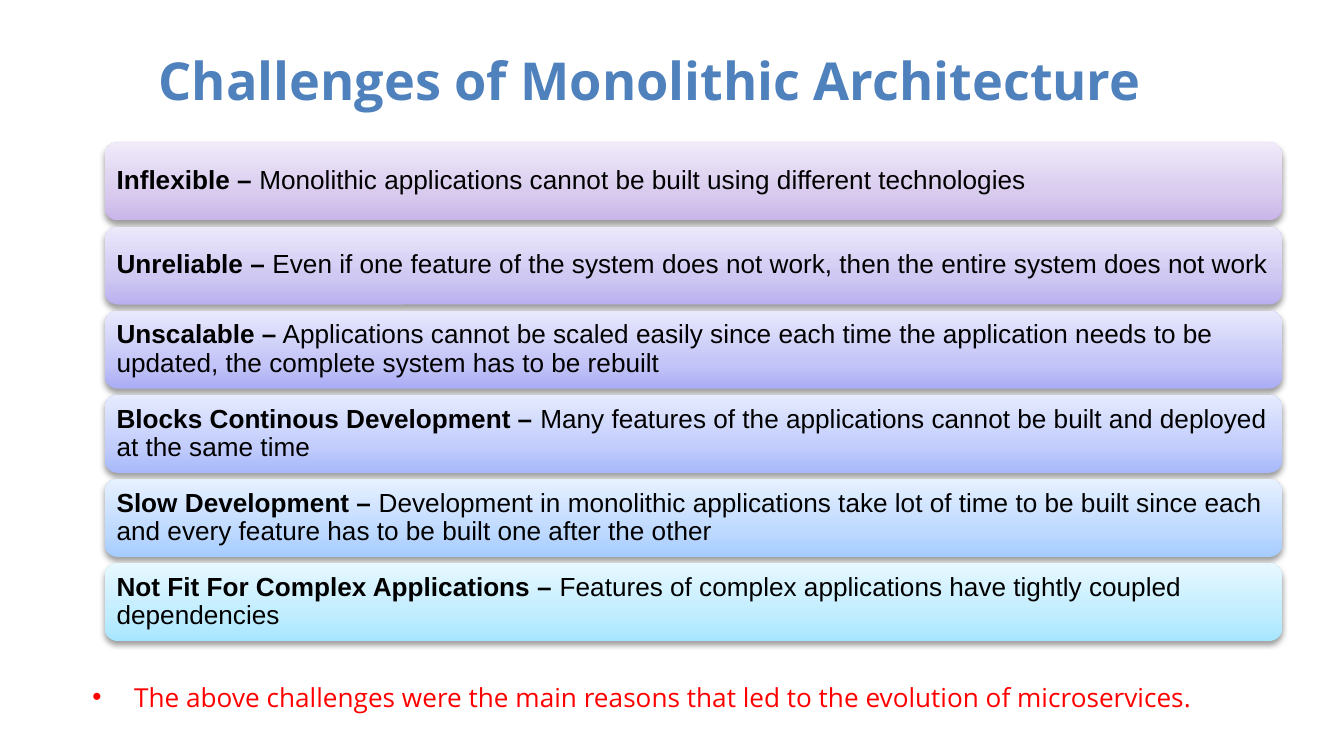
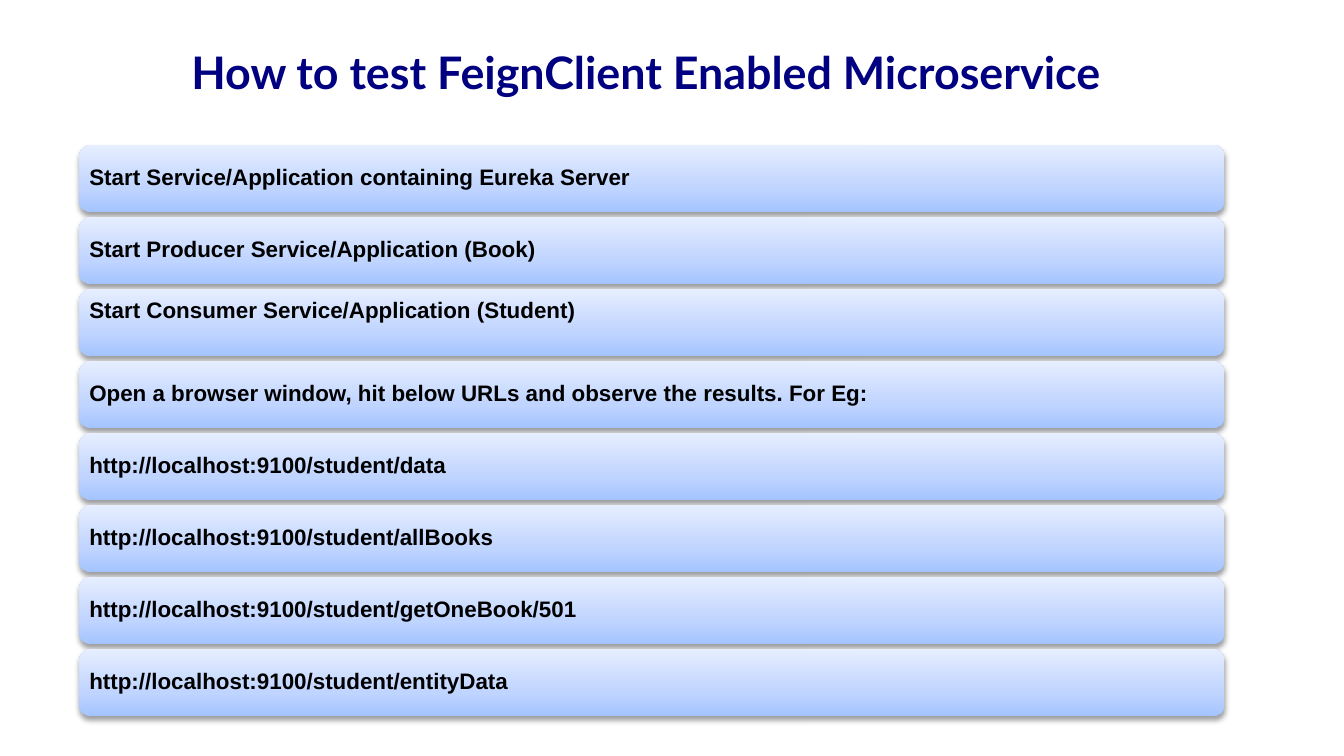
"""Build two slides of stacked gradient bars."""
import copy

import pptx
import pptx.dml.color
import pptx.enum.shapes
import pptx.enum.text
import pptx.oxml
import pptx.oxml.ns
import pptx.util

Inches = pptx.util.Inches
Pt = pptx.util.Pt
ALIGN = pptx.enum.text.PP_ALIGN
ANCHOR = pptx.enum.text.MSO_ANCHOR
ROUND = pptx.enum.shapes.MSO_SHAPE.ROUNDED_RECTANGLE
TITLE_ONLY = 5
WIDTH = Inches(10)
HEIGHT = WIDTH * 9 // 16
BLACK, RED, STEEL, NAVY = "000000", "FF0000", "4F81BD", "000080"
SKY = ("A4C4FF", "BFD4FF", "E6EEFF")
STOPS = (0, 0.35, 1)
SHADOW = (
    '<a:outerShdw xmlns:a="http://schemas.openxmlformats.org/drawingml/2006/main"'
    ' blurRad="40000" dist="20000" dir="5400000" rotWithShape="0">'
    '<a:srgbClr val="000000"><a:alpha val="38000"/></a:srgbClr></a:outerShdw>'
)

CHALLENGES = [
    ("Inflexible –", " Monolithic applications cannot be built using different technologies",
     ("C9B5E8", "D8CBEE", "F0EAF9")),
    ("Unreliable –", " Even if one feature of the system does not work, then the entire "
     "system does not work", ("BAB0EF", "CEC8F2", "ECE9FB")),
    ("Unscalable –", " Applications cannot be scaled easily since each time the application "
     "needs to be updated, the complete system has to be rebuilt",
     ("ABADF5", "C5C6F7", "E8E8FD")),
    ("Blocks Continous Development –", " Many features of the applications cannot be built "
     "and deployed at the same time", ("A7B9FB", "C2CDFB", "E6EBFF")),
    ("Slow Development –", " Development in monolithic applications take lot of time to be "
     "built since each and every feature has to be built one after the other",
     ("A5CCFF", "BFDAFF", "E7F1FF")),
    ("Not Fit For Complex Applications – ", "Features of complex applications have tightly "
     "coupled dependencies", ("A7E6FF", "C1EDFF", "E7F8FF")),
]

STEPS = [
    "Start Service/Application containing Eureka Server",
    "Start Producer Service/Application (Book)",
    "Start Consumer Service/Application (Student)",
    "Open a browser window, hit below URLs and observe the results. For Eg:",
    "http://localhost:9100/student/data",
    "http://localhost:9100/student/allBooks",
    "http://localhost:9100/student/getOneBook/501",
    "http://localhost:9100/student/entityData",
]


def color(code):
    """Turn a hex string into a colour."""
    return pptx.dml.color.RGBColor.from_string(code)


def write(para, text, font="Arial", size=14, fill=BLACK, bold=False):
    """Add a formatted run to a paragraph."""
    run = para.add_run()
    run.text = text
    run.font.name = font
    run.font.size = Pt(size)
    run.font.bold = bold
    run.font.color.rgb = color(fill)


def add_title(slide, text, box, align, **style):
    """Place and format the title of a slide."""
    title = slide.shapes.title
    title.left, title.top, title.width, title.height = map(Inches, box)
    frame = title.text_frame
    frame.auto_size = pptx.enum.text.MSO_AUTO_SIZE.NONE
    frame.vertical_anchor = ANCHOR.TOP
    para = frame.paragraphs[0]
    para.alignment = align
    write(para, text, bold=True, **style)


def shade(bar, tones):
    """Give a bar its upward gradient and soft shadow."""
    bar.fill.gradient()
    bar.fill.gradient_angle = 90
    stops = bar.element.spPr.find(".//" + pptx.oxml.ns.qn("a:gsLst"))
    stops.insert(1, copy.deepcopy(stops[0]))
    for stop, place, tone in zip(bar.fill.gradient_stops, STOPS, tones):
        stop.position = place
        stop.color.rgb = color(tone)
    bar.line.fill.background()
    bar.shadow.inherit = False
    effects = bar.element.spPr.find(pptx.oxml.ns.qn("a:effectLst"))
    effects.append(pptx.oxml.parse_xml(SHADOW))


def add_bar(slide, box, tones, pad, anchor=ANCHOR.MIDDLE):
    """Draw one bar and return its paragraph."""
    bar = slide.shapes.add_shape(ROUND, *map(Inches, box))
    shade(bar, tones)
    frame = bar.text_frame
    frame.word_wrap = True
    frame.vertical_anchor = anchor
    frame.margin_left = frame.margin_right = Inches(pad)
    frame.margin_top = frame.margin_bottom = Inches(pad)
    para = frame.paragraphs[0]
    para.alignment = ALIGN.LEFT
    para.line_spacing = 0.9
    return para


def spread(first, last, count):
    """List evenly spaced tops from first to last."""
    return [first + (last - first) * i / (count - 1) for i in range(count)]


def add_note(slide, text, box, **style):
    """Add a bulleted note."""
    frame = slide.shapes.add_textbox(*map(Inches, box)).text_frame
    frame.word_wrap = True
    para = frame.paragraphs[0]
    para.alignment = ALIGN.JUSTIFY
    props = para._p.get_or_add_pPr()
    props.set("marL", str(Inches(0.31)))
    props.set("indent", str(-Inches(0.31)))
    for tag, key, value in (("a:buFont", "typeface", "Arial"), ("a:buChar", "char", "•")):
        mark = pptx.oxml.parse_xml(f"<{tag} {pptx.oxml.ns.nsdecls('a')}/>")
        mark.set(key, value)
        props.append(mark)
    write(para, text, **style)


def show_challenges(slide):
    """Fill the slide on monolithic challenges."""
    add_title(slide, "Challenges of Monolithic Architecture", (1.08, 0.31, 7.64, 0.57),
              ALIGN.LEFT, font="Open Sans", size=28, fill=STEEL)
    tops = spread(1.06, 4.19, len(CHALLENGES))
    for top, (term, detail, tones) in zip(tops, CHALLENGES):
        para = add_bar(slide, (0.78, top, 8.76, 0.58), tones, 0.06)
        write(para, term, bold=True)
        write(para, detail)
    add_note(slide, "The above challenges were the main reasons that led to the evolution "
             "of microservices.", (0.59, 5.02, 8.83, 0.34), font="Open Sans", fill=RED)


def show_steps(slide):
    """Fill the slide on testing steps."""
    add_title(slide, "How to test FeignClient Enabled Microservice", (0.59, 0.28, 8.43, 0.5),
              ALIGN.CENTER, font="Lato", size=24, fill=NAVY)
    for top, step in zip(spread(1.08, 4.83, len(STEPS)), STEPS):
        anchor = ANCHOR.TOP if "Consumer" in step else ANCHOR.MIDDLE
        para = add_bar(slide, (0.59, top, 8.52, 0.5), SKY, 0.05, anchor)
        write(para, step, size=12, bold=True)


def main():
    """Build and save the deck."""
    deck = pptx.Presentation()
    deck.slide_width, deck.slide_height = WIDTH, HEIGHT
    for show in (show_challenges, show_steps):
        show(deck.slides.add_slide(deck.slide_layouts[TITLE_ONLY]))
    deck.save("out.pptx")


if __name__ == "__main__":
    main()
